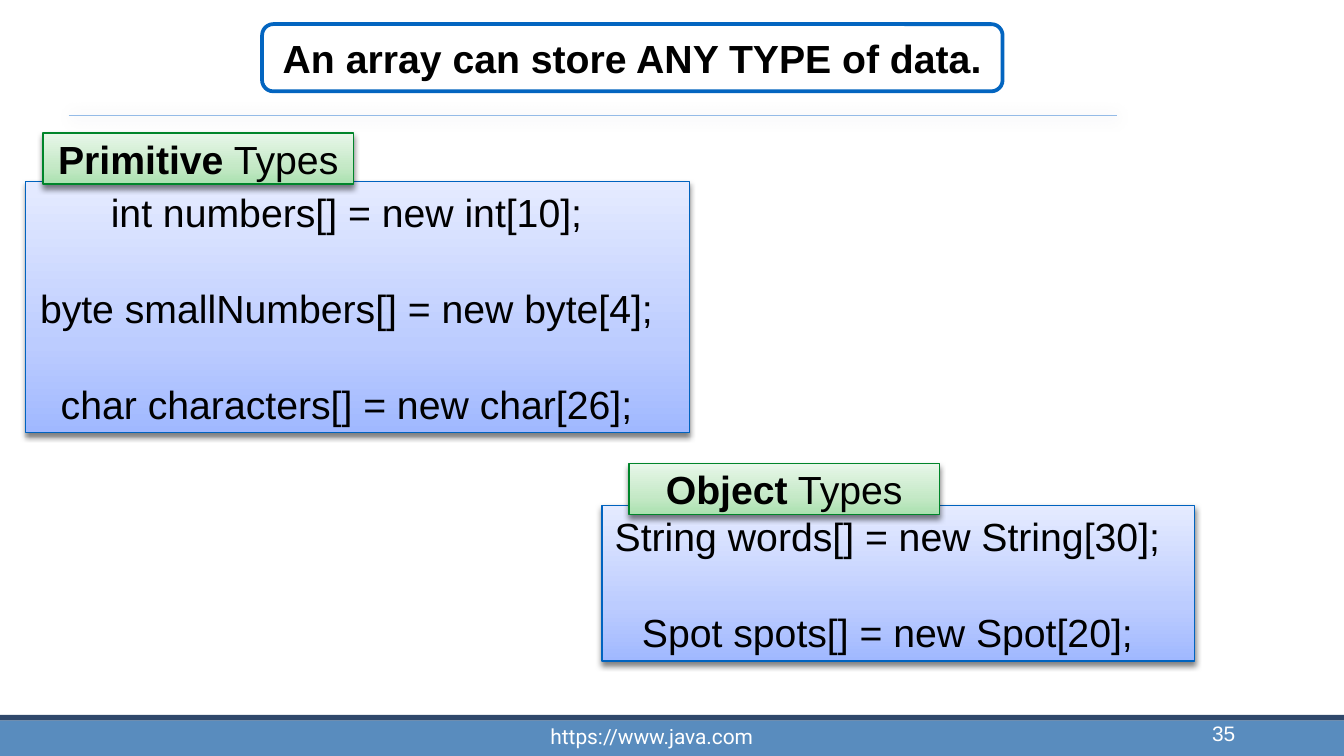
from lxml import etree
from pptx import Presentation
from pptx.dml.color import RGBColor
from pptx.enum.shapes import MSO_CONNECTOR, MSO_SHAPE
from pptx.enum.text import MSO_ANCHOR, PP_ALIGN
from pptx.oxml.ns import qn
from pptx.util import Inches, Pt

RECT, ROUND = MSO_SHAPE.RECTANGLE, MSO_SHAPE.ROUNDED_RECTANGLE
STRAIGHT = MSO_CONNECTOR.STRAIGHT
TOP, MIDDLE, BOTTOM = MSO_ANCHOR.TOP, MSO_ANCHOR.MIDDLE, MSO_ANCHOR.BOTTOM
CENTER, RIGHT = PP_ALIGN.CENTER, PP_ALIGN.RIGHT
W, H = Inches(10), Inches(10) * 9 // 16
C = {
    "white": "FFFFFF", "black": "000000", "footer": "598CBE", "strip": "2F486B",
    "rule": "94BBE7", "rule_shadow": "003D62", "title_line": "0365C0",
    "panel_line": "0063BF", "tab_line": "00852A",
}
PANEL_STOPS = ((0, "A0B8FF"), (35, "BCCCFF"), (100, "E5EBFF"))
TAB_STOPS = ((0, "AAE1AF"), (35, "C5E9C7"), (100, "E8F7E9"))


def place(x, y, w, h):
    return [int(v * full / 100) for v, full in ((x, W), (y, H), (w, W), (h, H))]


def rgb(name):
    return RGBColor.from_string(C[name])


def add_color(parent, value, alpha=None):
    clr = etree.SubElement(parent, qn("a:srgbClr"), val=value)
    if alpha is not None:
        etree.SubElement(clr, qn("a:alpha"), val=str(alpha * 1000))


def add_shadow(sp, color, alpha, blur, dist, angle):
    pr = sp._element.spPr
    for old in pr.findall(qn("a:effectLst")):
        pr.remove(old)
    effects = etree.SubElement(pr, qn("a:effectLst"))
    outer = etree.SubElement(
        effects, qn("a:outerShdw"), blurRad=str(Pt(blur)), dist=str(Pt(dist)),
        dir=str(angle * 60000), rotWithShape="0")
    add_color(outer, C[color], alpha)


def set_gradient(sp, stops):
    sp.fill.gradient()
    sp.fill.gradient_angle = 90
    gs_list = sp._element.spPr.find(qn("a:gradFill")).find(qn("a:gsLst"))
    for gs in list(gs_list):
        gs_list.remove(gs)
    for pos, value in stops:
        add_color(etree.SubElement(gs_list, qn("a:gs"), pos=str(pos * 1000)), value)


def add_box(s, box, kind=RECT, fill=None, stops=None, line=None, width=0.75):
    sp = s.shapes.add_shape(kind, *place(*box))
    sp.shadow.inherit = False
    if stops:
        set_gradient(sp, stops)
        add_shadow(sp, "black", 50, 3, 2, 90)
    else:
        sp.fill.solid()
        sp.fill.fore_color.rgb = rgb(fill)
    if line:
        sp.line.color.rgb = rgb(line)
        sp.line.width = Pt(width)
    else:
        sp.line.fill.background()
    return sp


def write(sp, lines, size=21, font="Arial", color="black", align=CENTER,
          anchor=MIDDLE, gap=0, wrap=True):
    tf = sp.text_frame
    tf.word_wrap = wrap
    tf.vertical_anchor = anchor
    for i, runs in enumerate(lines):
        p = tf.paragraphs[0] if i == 0 else tf.add_paragraph()
        p.alignment = align
        if i:
            p.space_before = Pt(gap)
        p.font.size, p.font.name = Pt(size), font
        p.font.color.rgb = rgb(color)
        for text, bold in runs:
            r = p.add_run()
            r.text = text
            r.font.bold = bold
    return tf


def add_heading(s, box, text):
    rule = s.shapes.add_connector(STRAIGHT, *place(5.1, 15.29, 83.1, 15.29))
    rule.line.color.rgb = rgb("rule")
    rule.line.width = Pt(1)
    add_shadow(rule, "rule_shadow", 20, 8, 1, 45)
    sp = add_box(s, box, ROUND, fill="white", line="title_line", width=2)
    write(sp, [[(text, True)]])


def add_panel(s, box, tab_dx, tab_dy, kind, code):
    x, y, w, h = box
    sp = add_box(s, box, stops=PANEL_STOPS, line="panel_line")
    tf = write(sp, [[(line, False)] for line in code], anchor=TOP, gap=26.4, wrap=False)
    tf.margin_right = Inches(0.26)
    tab = add_box(s, (x + tab_dx, y - tab_dy, 23.1, 6.76), stops=TAB_STOPS, line="tab_line")
    write(tab, [[(kind, True), (" Types", False)]])


def add_footer(s, box, link, number):
    x, y, w, h = box
    add_box(s, (x, y + 0.71, w, h - 0.71), fill="footer")
    add_box(s, (x, y, w, 0.71), fill="strip")
    labels = (
        ((35.2, 95.11, 26.6, 4.62), link, "Roboto", CENTER, 0.04),
        ((71.7, 94.22, 20.8, 5.51), number, "Arial", RIGHT, 0.06),
    )
    for spot, text, font, align, inset in labels:
        sp = s.shapes.add_textbox(*place(*spot))
        tf = write(sp, [[(text, False)]], 11.2, font, "white", align, BOTTOM)
        tf.margin_top = tf.margin_bottom = Inches(inset)
        tf.margin_left = tf.margin_right = Inches(0.06)


def main():
    prs = Presentation()
    prs.slide_width, prs.slide_height = W, H
    s = prs.slides.add_slide(prs.slide_layouts[6])
    add_footer(s, (0, 94.58, 100, 5.42), "https://www.java.com", "35")
    add_heading(s, (19.5, 3.2, 55.1, 8.89), "An array can store ANY TYPE of data.")
    add_panel(s, (44.8, 66.84, 44.1, 20.62), 2, 5.51, "Object", (
        "String words[] = new String[30];",
        "Spot spots[] = new Spot[20];"))
    add_panel(s, (1.9, 24, 49.4, 33.25), 1.3, 6.4, "Primitive", (
        "int numbers[] = new int[10];",
        "byte smallNumbers[] = new byte[4];",
        "char characters[] = new char[26];"))
    prs.save("out.pptx")


if __name__ == "__main__":
    main()
